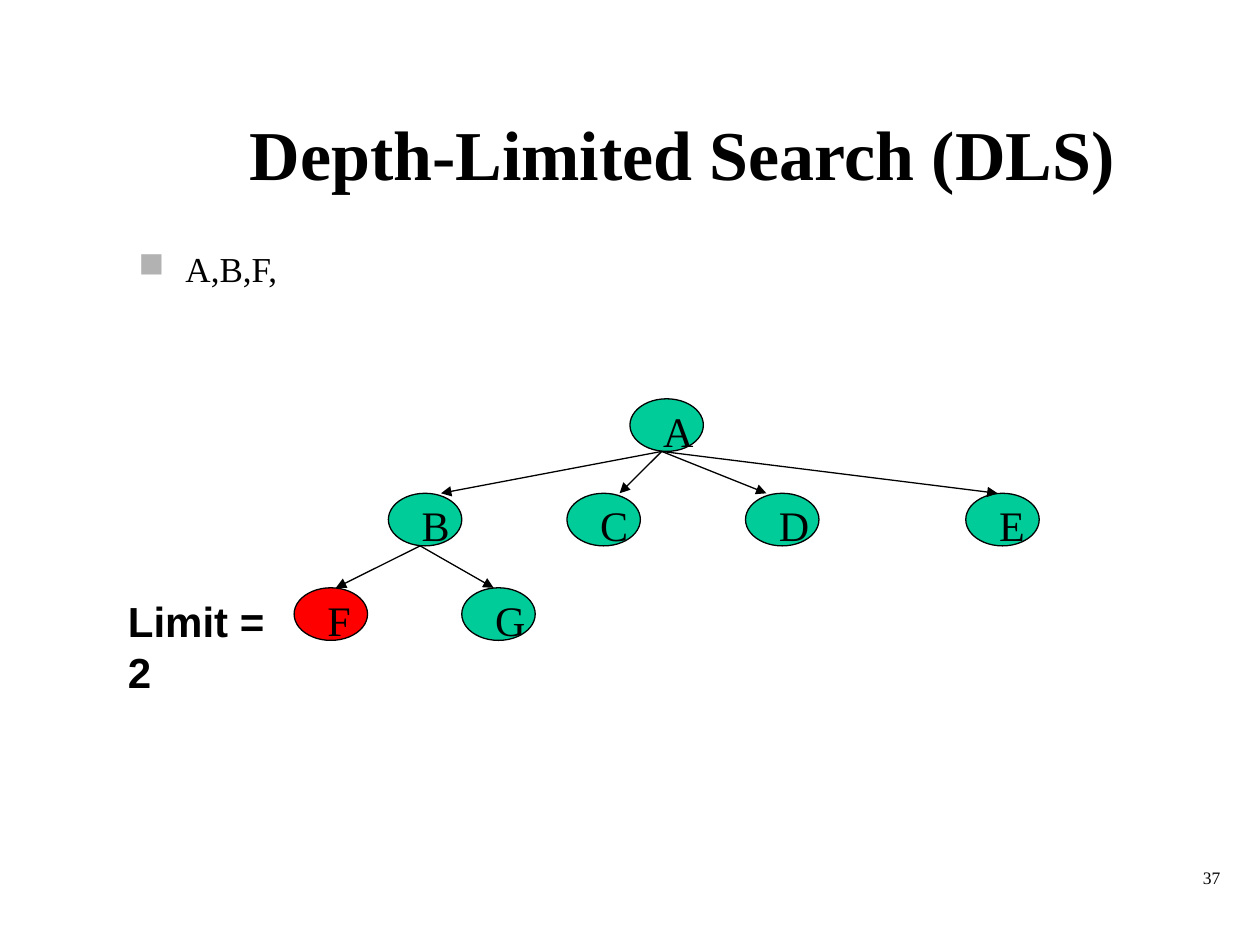
from lxml.etree import SubElement
from pptx import Presentation
from pptx.dml.color import RGBColor
from pptx.enum.shapes import MSO_CONNECTOR, MSO_SHAPE
from pptx.enum.text import MSO_ANCHOR, PP_ALIGN
from pptx.oxml.ns import qn
from pptx.util import Cm, Pt

TITLE = "Depth-Limited Search (DLS)"
VISITED = "A,B,F,"
LIMIT = "Limit = 2"
PAGE_NUMBER = "37"
SERIF, SANS = "Times New Roman", "Arial"
BLACK, GREEN, RED, GRAY = "000000", "00CC99", "FF0000", "B2B2B2"

NODES = {
    "A": (12.7, 0, GREEN),
    "B": (7.83, 1, GREEN),
    "C": (11.43, 1, GREEN),
    "E": (19.47, 1, GREEN),
    "D": (15.03, 1, GREEN),
    "F": (5.93, 2, RED),
    "G": (9.31, 2, GREEN),
}
EDGES = [
    ("A", "B", 1.06),
    ("A", "C", 1.06),
    ("A", "D", 0.42),
    ("A", "E", 0.64),
    ("B", "F", 0.84),
    ("B", "G", 0.64),
]
TREE_TOP, LEVEL_STEP = 8.04, 1.905
NODE_WIDTH, NODE_HEIGHT = 1.48, 1.06
LABEL_INDENT, EDGE_START = 0.42, 0.64


def color(value):
    return RGBColor.from_string(value)


def write(shape, text, size, font=SERIF, bold=False, align=PP_ALIGN.LEFT,
          anchor=MSO_ANCHOR.TOP):
    frame = shape.text_frame
    frame.word_wrap = True
    frame.vertical_anchor = anchor
    paragraph = frame.paragraphs[0]
    paragraph.alignment = align
    run = paragraph.add_run()
    run.text = text
    run.font.size = Pt(size)
    run.font.name = font
    run.font.bold = bold
    run.font.color.rgb = color(BLACK)
    return paragraph


def add_text(slide, box, text, size, **style):
    shape = slide.shapes.add_textbox(*map(Cm, box))
    return write(shape, text, size, **style)


def add_bullet(paragraph):
    properties = paragraph._p.get_or_add_pPr()
    properties.set("marL", str(Cm(0.95)))
    properties.set("indent", str(Cm(-0.95)))
    bullet_color = SubElement(properties, qn("a:buClr"))
    SubElement(bullet_color, qn("a:srgbClr"), val=GRAY)
    SubElement(properties, qn("a:buChar"), char="■")


def node_top(level):
    return TREE_TOP + level * LEVEL_STEP


def add_node(slide, name):
    left, level, fill = NODES[name]
    top = node_top(level)
    ellipse = slide.shapes.add_shape(
        MSO_SHAPE.OVAL, Cm(left), Cm(top), Cm(NODE_WIDTH), Cm(NODE_HEIGHT))
    ellipse.shadow.inherit = False
    ellipse.fill.solid()
    ellipse.fill.fore_color.rgb = color(fill)
    ellipse.line.color.rgb = color(BLACK)
    ellipse.line.width = Pt(0.75)
    add_text(slide, (left + LABEL_INDENT, top, 1.06, 1.02), name, 24)


def add_edge(slide, parent, child, end_offset):
    parent_left, parent_level, _ = NODES[parent]
    child_left, child_level, _ = NODES[child]
    connector = slide.shapes.add_connector(
        MSO_CONNECTOR.STRAIGHT,
        Cm(parent_left + EDGE_START), Cm(node_top(parent_level) + NODE_HEIGHT),
        Cm(child_left + end_offset), Cm(node_top(child_level)))
    connector.line.color.rgb = color(BLACK)
    connector.line.width = Pt(0.75)
    SubElement(connector.line._get_or_add_ln(), qn("a:tailEnd"), type="triangle")
    SubElement(connector._element.spPr, qn("a:effectLst"))


def main():
    presentation = Presentation()
    presentation.slide_width, presentation.slide_height = Cm(25.4), Cm(19.05)
    slide = presentation.slides.add_slide(presentation.slide_layouts[5])

    title = slide.shapes.title
    title.left, title.top, title.width, title.height = map(
        Cm, (2.96, 1.48, 21.59, 3.18))
    write(title, TITLE, 40, bold=True, align=PP_ALIGN.CENTER,
          anchor=MSO_ANCHOR.MIDDLE)

    add_text(slide, (19.56, 17.36, 5.29, 1.27), PAGE_NUMBER, 10,
             align=PP_ALIGN.RIGHT)
    add_bullet(add_text(slide, (2.54, 4.87, 21.59, 2.33), VISITED, 20))

    for name in NODES:
        add_node(slide, name)
    for edge in EDGES:
        add_edge(slide, *edge)
    add_text(slide, (2.33, 11.89, 3.39, 1.02), LIMIT, 24, font=SANS, bold=True)

    presentation.save("out.pptx")


if __name__ == "__main__":
    main()
